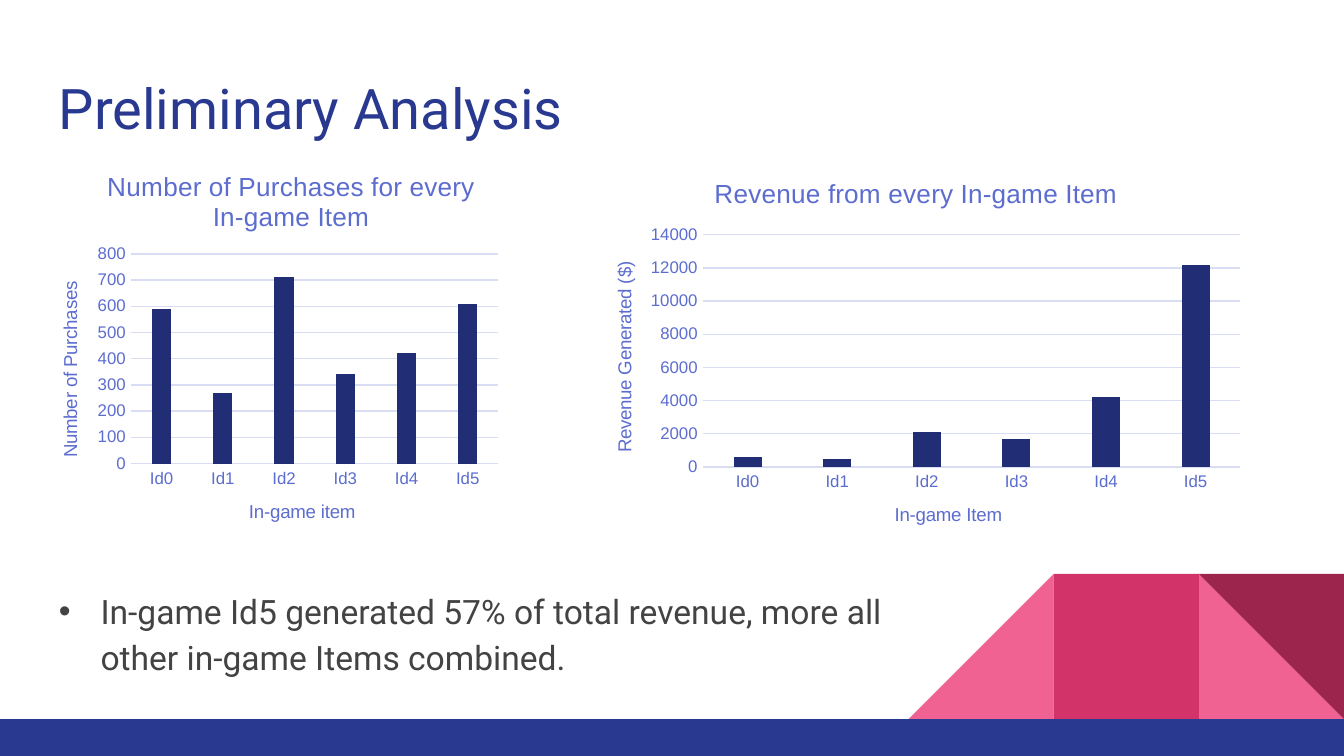
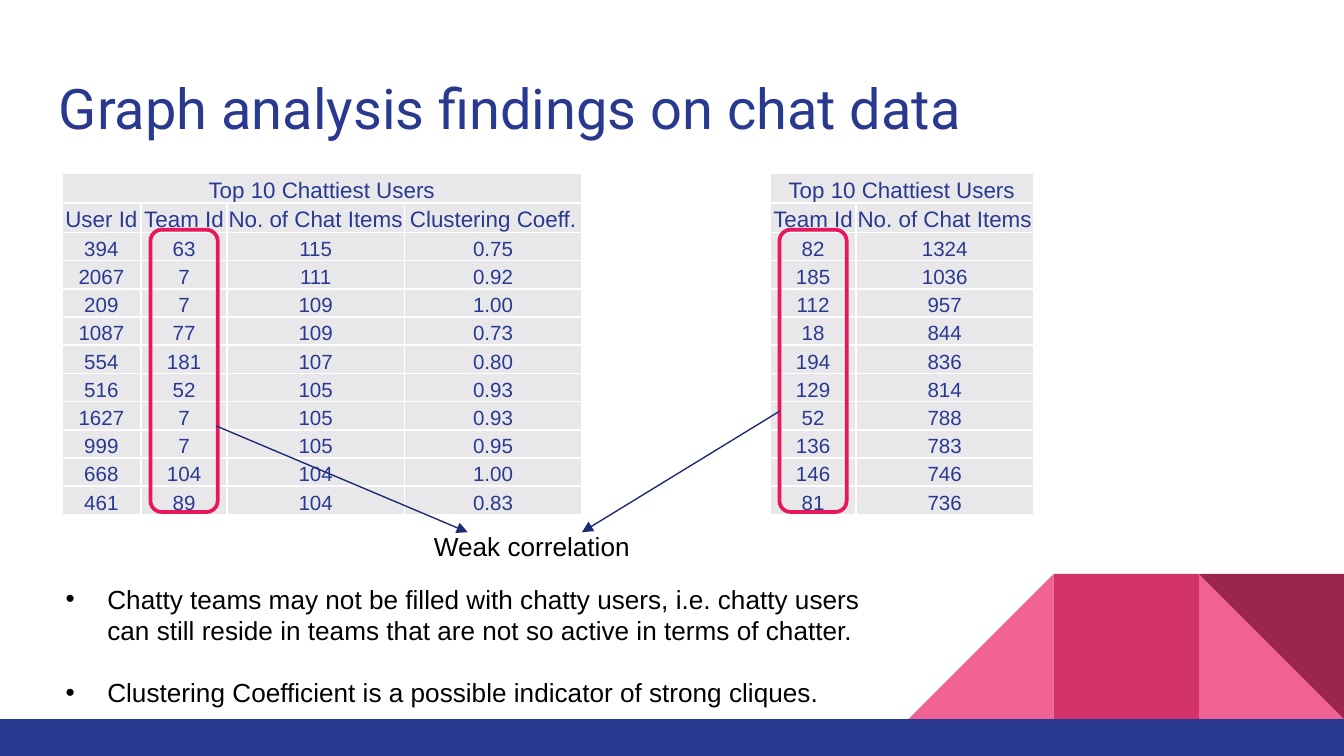
"""Build two game-data slides: item charts and chat tables."""
from lxml.etree import SubElement
from pptx import Presentation
from pptx.chart.data import CategoryChartData
from pptx.dml.color import RGBColor
from pptx.enum.chart import XL_CHART_TYPE, XL_TICK_MARK
from pptx.enum.shapes import MSO_CONNECTOR, MSO_SHAPE
from pptx.enum.text import MSO_ANCHOR, PP_ALIGN
from pptx.oxml import parse_xml
from pptx.oxml.ns import nsdecls, qn
from pptx.util import Inches, Pt

COLORS = {
    name: RGBColor.from_string(value)
    for name, value in {
        "navy": "2A3990",
        "bar": "212D74",
        "arrow": "1E2B73",
        "label": "5C6DCF",
        "grid": "D9DDF4",
        "pink": "F06292",
        "rose": "D23369",
        "wine": "9C254D",
        "marker": "E7165D",
        "cell": "E8E8EB",
        "body": "434343",
        "black": "000000",
        "white": "FFFFFF",
    }.items()
}


def add_text(slide, box, paragraphs, font, inset=0.05, wrap=True, bullet=False, spacing=None):
    """Add a text box with one format for all its paragraphs."""
    frame = slide.shapes.add_textbox(*map(Inches, box)).text_frame
    frame.word_wrap = wrap
    frame.margin_top = frame.margin_bottom = Inches(inset)
    for index, text in enumerate(paragraphs):
        paragraph = frame.paragraphs[0] if index == 0 else frame.add_paragraph()
        paragraph.text = text
        for name, value in (spacing or {}).items():
            setattr(paragraph, name, value)
        name, size, color = font
        paragraph.font.name = name
        paragraph.font.size = Pt(size)
        paragraph.font.color.rgb = COLORS[color]
        if bullet:
            properties = paragraph._p.get_or_add_pPr()
            properties.set("marL", str(Inches(0.31)))
            properties.set("indent", str(-Inches(0.31)))
            SubElement(properties, qn("a:buFont")).set("typeface", "Arial")
            SubElement(properties, qn("a:buChar")).set("char", "•")


def place_chart_part(element, index, **fractions):
    """Place a chart title or plot area by fractions of the chart."""
    for layout in element.findall(qn("c:layout")):
        element.remove(layout)
    target = '<c:layoutTarget val="inner"/>' if "w" in fractions else ""
    modes = '<c:xMode val="edge"/><c:yMode val="edge"/>'
    values = "".join(f'<c:{name} val="{value}"/>' for name, value in fractions.items())
    element.insert(index, parse_xml(
        f'<c:layout {nsdecls("c")}><c:manualLayout>{target}{modes}{values}'
        "</c:manualLayout></c:layout>"
    ))


presentation = Presentation()
presentation.slide_width = Inches(10)
presentation.slide_height = Inches(10 * 9 / 16)

titles = ["Preliminary Analysis", "Graph analysis findings on chat data"]
side = 1.08
decorations = [
    (MSO_SHAPE.RIGHT_TRIANGLE, (8.92, 4.27, side, side), "pink", 0),
    (MSO_SHAPE.RIGHT_TRIANGLE, (6.76, 4.27, side, side), "pink", 270),
    (MSO_SHAPE.RECTANGLE, (7.84, 4.27, side, side), "rose", 0),
    (MSO_SHAPE.RIGHT_TRIANGLE, (8.92, 4.27, side, side), "wine", 180),
    (MSO_SHAPE.RECTANGLE, (0, 5.35, 10, 0.28), "navy", 0),
]
for title in titles:
    slide = presentation.slides.add_slide(presentation.slide_layouts[6])
    slide.background.fill.solid()
    slide.background.fill.fore_color.rgb = COLORS["white"]
    for kind, box, color, rotation in decorations:
        shape = slide.shapes.add_shape(kind, *map(Inches, box))
        shape.rotation = rotation
        shape.shadow.inherit = False
        shape.fill.solid()
        shape.fill.fore_color.rgb = COLORS[color]
        shape.line.fill.background()
    add_text(slide, (0.34, 0.45, 9.32, 0.66), [title], ("Roboto", 30, "navy"), inset=0.1)
analysis_slide, chat_slide = presentation.slides

add_text(
    analysis_slide, (0.34, 4.25, 6.77, 0.83),
    ["In-game Id5 generated 57% of total revenue, more all other in-game Items combined."],
    ("Roboto", 18, "body"), inset=0.1, bullet=True,
    spacing={"line_spacing": 1.15, "space_after": Pt(16)},
)

charts = [
    {
        "box": (0.23, 1.11, 3.55, 3),
        "values": [590, 270, 710, 340, 420, 610],
        "maximum": 800,
        "step": 100,
        "title": ("Number of Purchases for every In-game Item", 0.15, 0.04),
        "category": ("In-game item", 0.45, 0.86),
        "value": ("Number of Purchases", 0.05, 0.32),
        "plot": {"x": 0.21, "y": 0.26, "w": 0.77, "h": 0.52},
    },
    {
        "box": (4.33, 1.19, 5, 2.93),
        "values": [600, 500, 2100, 1700, 4200, 12200],
        "maximum": 14000,
        "step": 2000,
        "title": ("Revenue from every In-game Item", 0.19, 0.03),
        "category": ("In-game Item", 0.46, 0.86),
        "value": ("Revenue Generated ($)", 0.04, 0.25),
        "plot": {"x": 0.18, "y": 0.19, "w": 0.8, "h": 0.59},
    },
]
for settings in charts:
    data = CategoryChartData()
    data.categories = [f"Id{number}" for number in range(6)]
    data.add_series("Series 1", settings["values"])
    chart = analysis_slide.shapes.add_chart(
        XL_CHART_TYPE.COLUMN_CLUSTERED, *map(Inches, settings["box"]), data
    ).chart
    chart.has_legend = False
    chart.font.name = "Arial"
    chart.font.size = Pt(10)
    chart.font.color.rgb = COLORS["navy"]
    plot = chart.plots[0]
    plot.vary_by_categories = False
    plot.gap_width = 219
    plot.overlap = -27
    plot.series[0].format.fill.solid()
    plot.series[0].format.fill.fore_color.rgb = COLORS["bar"]

    value_axis, category_axis = chart.value_axis, chart.category_axis
    for axis in (value_axis, category_axis):
        axis.major_tick_mark = axis.minor_tick_mark = XL_TICK_MARK.NONE
        axis.tick_labels.font.name = "Arial"
        axis.tick_labels.font.size = Pt(9)
        axis.tick_labels.font.color.rgb = COLORS["label"]
    value_axis.minimum_scale = 0
    value_axis.maximum_scale = settings["maximum"]
    value_axis.major_unit = settings["step"]
    value_axis.format.line.fill.background()
    for line in (value_axis.major_gridlines.format.line, category_axis.format.line):
        line.color.rgb = COLORS["grid"]
        line.width = Pt(0.75)

    chart_titles = [
        (chart.chart_title, "title", 14),
        (category_axis.axis_title, "category", 10),
        (value_axis.axis_title, "value", 10),
    ]
    for chart_title, key, size in chart_titles:
        text, left, top = settings[key]
        paragraph = chart_title.text_frame.paragraphs[0]
        run = paragraph.add_run()
        run.text = text
        run.font.name = "Arial"
        run.font.size = Pt(size)
        run.font.bold = False
        run.font.color.rgb = COLORS["label"]
        place_chart_part(chart_title._element, 1, x=left, y=top)
    plot_area = chart._chartSpace.xpath("c:chart/c:plotArea")[0]
    place_chart_part(plot_area, 0, **settings["plot"])

user_rows = [
    ("User Id", "Team Id", "No. of Chat Items", "Clustering Coeff."),
    ("394", "63", "115", "0.75"),
    ("2067", "7", "111", "0.92"),
    ("209", "7", "109", "1.00"),
    ("1087", "77", "109", "0.73"),
    ("554", "181", "107", "0.80"),
    ("516", "52", "105", "0.93"),
    ("1627", "7", "105", "0.93"),
    ("999", "7", "105", "0.95"),
    ("668", "104", "104", "1.00"),
    ("461", "89", "104", "0.83"),
]
team_rows = [
    ("Team Id", "No. of Chat Items"),
    ("82", "1324"),
    ("185", "1036"),
    ("112", "957"),
    ("18", "844"),
    ("194", "836"),
    ("129", "814"),
    ("52", "788"),
    ("136", "783"),
    ("146", "746"),
    ("81", "736"),
]
cell_format = {
    "margin_left": Inches(0.01),
    "margin_right": Inches(0.01),
    "margin_top": Inches(0.01),
    "margin_bottom": 0,
    "vertical_anchor": MSO_ANCHOR.BOTTOM,
}
tables = [
    (0.46, (0.59, 0.64, 1.32, 1.32), user_rows),
    (5.73, (0.64, 1.32), team_rows),
]
for left, widths, body_rows in tables:
    heading = ("Top 10 Chattiest Users",) + ("",) * (len(widths) - 1)
    rows = [heading] + body_rows
    table = chat_slide.shapes.add_table(
        len(rows), len(widths), Inches(left), Inches(1.29), Inches(sum(widths)), Inches(2.52)
    ).table
    table.first_row = table.horz_banding = False
    for column, width in zip(table.columns, widths):
        column.width = Inches(width)
    for row_index, row in enumerate(rows):
        table.rows[row_index].height = Inches(0.22 if row_index < 2 else 0.21)
        for column_index, text in enumerate(row):
            cell = table.cell(row_index, column_index)
            for name, value in cell_format.items():
                setattr(cell, name, value)
            paragraph = cell.text_frame.paragraphs[0]
            paragraph.text = text
            paragraph.alignment = PP_ALIGN.CENTER
            paragraph.font.name = "Arial"
            paragraph.font.size = Pt(12 if row_index < 2 else 11)
            paragraph.font.color.rgb = COLORS["navy"]
            for edge in ("lnL", "lnR", "lnT", "lnB"):
                border = SubElement(cell._tc.get_or_add_tcPr(), qn(f"a:{edge}"), w=str(Pt(1)))
                border_fill = SubElement(border, qn("a:solidFill"))
                SubElement(border_fill, qn("a:srgbClr"), val=str(COLORS["white"]))
            cell.fill.solid()
            cell.fill.fore_color.rgb = COLORS["cell"]
    table.cell(0, 0).merge(table.cell(0, len(widths) - 1))

for left in (1.12, 5.8):
    marker = chat_slide.shapes.add_shape(
        MSO_SHAPE.ROUNDED_RECTANGLE, Inches(left), Inches(1.71), Inches(0.5), Inches(2.1)
    )
    marker.shadow.inherit = False
    marker.fill.background()
    marker.line.color.rgb = COLORS["marker"]
    marker.line.width = Pt(2)

for ends in ((1.61, 3.17, 3.48, 3.96), (5.8, 3.06, 4.33, 3.96)):
    arrow = chat_slide.shapes.add_connector(MSO_CONNECTOR.STRAIGHT, *map(Inches, ends))
    arrow.line.color.rgb = COLORS["arrow"]
    arrow.line.width = Pt(0.75)
    SubElement(arrow.line._get_or_add_ln(), qn("a:tailEnd"), type="triangle")
    SubElement(arrow._element.spPr, qn("a:effectLst"))

add_text(
    chat_slide, (3.13, 3.9, 1.67, 0.34), ["Weak correlation"], ("Arial", 14, "black"), wrap=False
)
add_text(
    chat_slide, (0.39, 4.29, 6.35, 1.04),
    [
        "Chatty teams may not be filled with chatty users, i.e. chatty users can still reside "
        "in teams that are not so active in terms of chatter.",
        "Clustering Coefficient is a possible indicator of strong cliques.",
    ],
    ("Arial", 14, "black"), bullet=True, spacing={"space_after": Pt(16.5)},
)

presentation.save("out.pptx")
